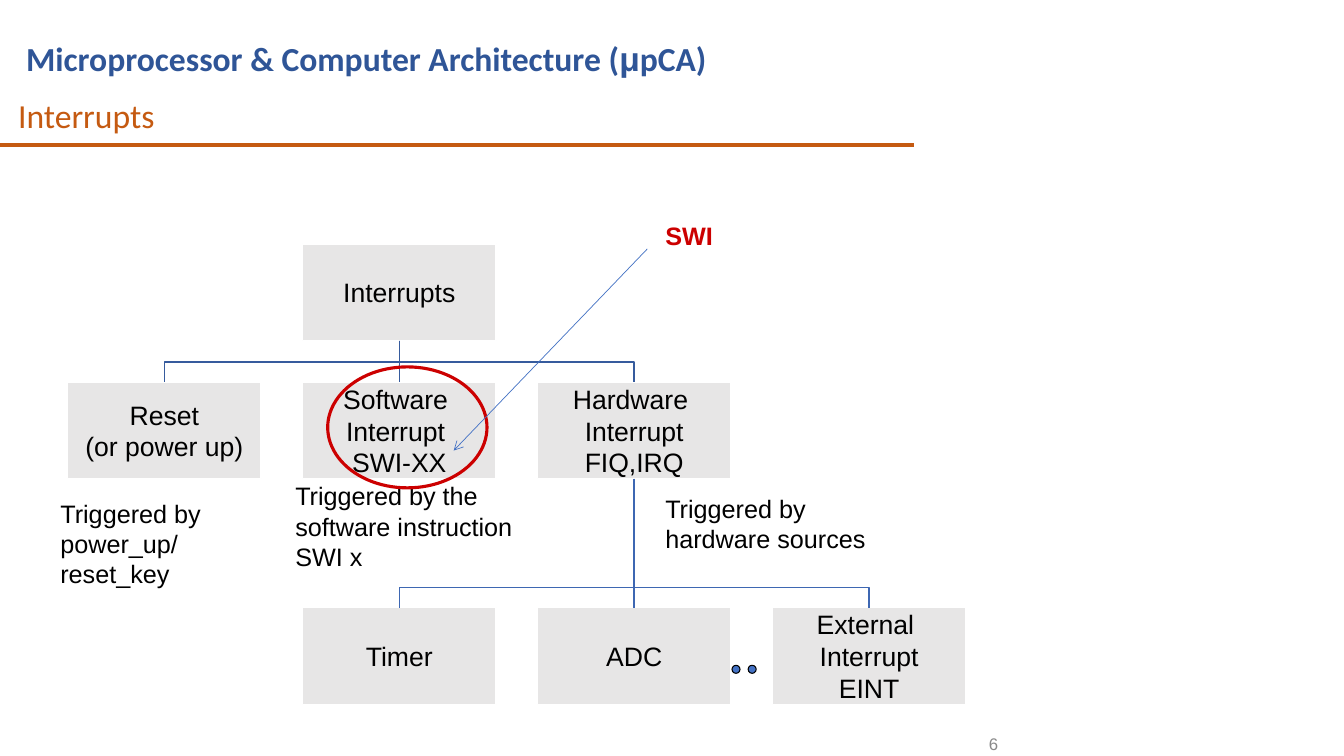
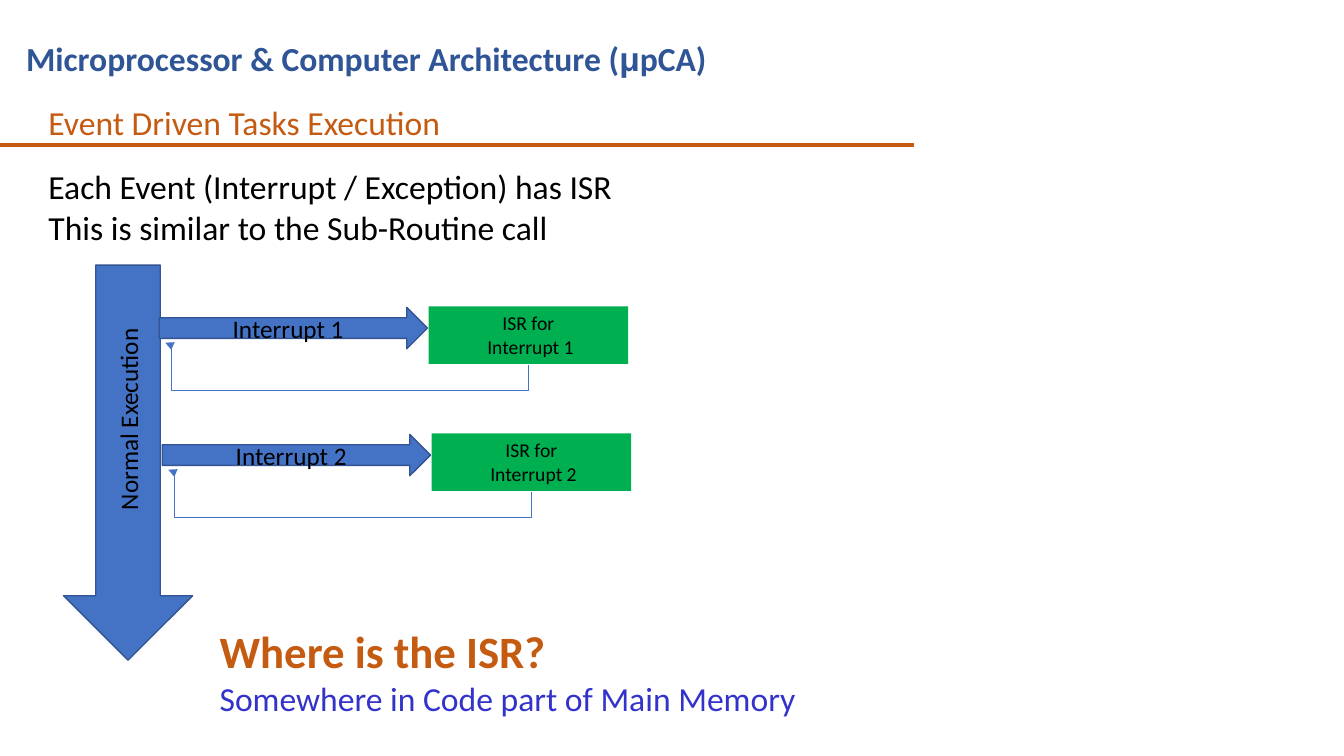
from lxml import etree
from pptx import Presentation
from pptx.dml.color import RGBColor
from pptx.enum.shapes import MSO_CONNECTOR, MSO_SHAPE
from pptx.enum.text import MSO_ANCHOR, MSO_AUTO_SIZE, PP_ALIGN
from pptx.oxml.ns import qn
from pptx.util import Inches, Pt

LEFT, CENTER, RIGHT = PP_ALIGN.LEFT, PP_ALIGN.CENTER, PP_ALIGN.RIGHT
TOP, MIDDLE = MSO_ANCHOR.TOP, MSO_ANCHOR.MIDDLE
STRAIGHT, ELBOW = MSO_CONNECTOR.STRAIGHT, MSO_CONNECTOR.ELBOW
RECTANGLE, OVAL = MSO_SHAPE.RECTANGLE, MSO_SHAPE.OVAL
DOWN_ARROW, RIGHT_ARROW = MSO_SHAPE.DOWN_ARROW, MSO_SHAPE.RIGHT_ARROW

ORANGE = RGBColor(0xC5, 0x5A, 0x11)
NAVY = RGBColor(0x2F, 0x55, 0x97)
BLUE = RGBColor(0x44, 0x72, 0xC4)
DARK_BLUE = RGBColor(0x32, 0x54, 0x91)
UPPER_TREE = RGBColor(0x36, 0x5B, 0x9D)
LOWER_TREE = RGBColor(0x3E, 0x67, 0xB2)
VIOLET = RGBColor(0x33, 0x33, 0xCC)
RED = RGBColor(0xCC, 0x00, 0x00)
GREEN = RGBColor(0x00, 0xB0, 0x50)
LIGHT_GRAY = RGBColor(0xE7, 0xE6, 0xE6)
GRAY = RGBColor(0x89, 0x89, 0x89)
BLACK = RGBColor(0x00, 0x00, 0x00)
WHITE = RGBColor(0xFF, 0xFF, 0xFF)


def write_text(shape, text, size=18, color=BLACK, font="Calibri", bold=False,
               align=LEFT, anchor=None, margin=None, wrap=True, join=False):
    """Append one paragraph per line, or with join continue the last paragraph."""
    frame = shape.text_frame
    frame.word_wrap = wrap
    frame.auto_size = MSO_AUTO_SIZE.NONE
    if anchor is not None:
        frame.vertical_anchor = anchor
    if margin is not None:
        frame.margin_left = frame.margin_right = Inches(margin)
        frame.margin_top = frame.margin_bottom = Inches(margin)
    for line in text.split("\n"):
        paragraph = frame.paragraphs[-1]
        if paragraph.runs and not join:
            paragraph = frame.add_paragraph()
        paragraph.alignment = align
        paragraph.space_before = Pt(0)
        run = paragraph.add_run()
        run.text = line
        run.font.size = Pt(size)
        run.font.name = font
        run.font.bold = bold
        run.font.color.rgb = color


def style_line(shape, color, width, arrowhead=None):
    shape.line.color.rgb = color
    shape.line.width = Pt(width)
    properties = shape.element.spPr
    if arrowhead:
        outline = properties.find(qn("a:ln"))
        etree.SubElement(outline, qn("a:tailEnd")).set("type", arrowhead)
    etree.SubElement(properties, qn("a:effectLst"))


presentation = Presentation()
presentation.slide_width = Inches(13.33)
presentation.slide_height = Inches(7.5)
tree_slide = presentation.slides.add_slide(presentation.slide_layouts[5])
event_slide = presentation.slides.add_slide(presentation.slide_layouts[1])

# Course name and rule, moved to the master that both slides share
course = tree_slide.shapes.add_textbox(Inches(0.16), Inches(0.33), Inches(8.88), Inches(0.5))
for part, font in (("Microprocessor & Computer Architecture (", "Calibri"),
                   ("μ", "Arial"), ("pCA)", "Calibri")):
    write_text(course, part, size=24, color=NAVY, font=font, bold=True, join=True)
rule = tree_slide.shapes.add_connector(STRAIGHT, Inches(0), Inches(1.44), Inches(9.07), Inches(1.44))
style_line(rule, ORANGE, 3)
for number, shape in enumerate((rule, course), start=101):
    shape.element.xpath(".//p:cNvPr")[0].set("id", str(number))
    presentation.slide_master.shapes.element.append(shape.element)

for slide, text, left, top, width in (
        (tree_slide, "Interrupts", 0.08, 0.89, 9),
        (event_slide, "Event Driven Tasks Execution", 0.38, 0.96, 8.62)):
    title = slide.shapes.title
    title.left, title.top = Inches(left), Inches(top)
    title.width, title.height = Inches(width), Inches(0.5)
    write_text(title, text, size=24, color=ORANGE, anchor=MIDDLE)

# Slide 1: interrupt tree
shapes = tree_slide.shapes
BOX_WIDTH, BOX_HEIGHT = 1.92, 0.96
COLUMNS = [0.67 + 2.33 * column for column in range(4)]
ROWS = [2.42, 3.79, 6.03]
nodes = {}
for name, text, column, row in (
        ("root", "Interrupts", 1, 0),
        ("reset", "Reset\n(or power up)", 0, 1),
        ("software", "Software \nInterrupt \nSWI-XX", 1, 1),
        ("hardware", "Hardware \nInterrupt\nFIQ,IRQ", 2, 1),
        ("timer", "Timer", 1, 2),
        ("adc", "ADC", 2, 2),
        ("external", "External \nInterrupt\nEINT", 3, 2)):
    node = shapes.add_shape(RECTANGLE, Inches(COLUMNS[column]), Inches(ROWS[row]),
                            Inches(BOX_WIDTH), Inches(BOX_HEIGHT))
    node.shadow.inherit = False
    node.fill.solid()
    node.fill.fore_color.rgb = LIGHT_GRAY
    node.line.color.rgb = WHITE
    node.line.width = Pt(1)
    write_text(node, text, size=19, font="Arial", align=CENTER, anchor=MIDDLE, margin=0.01)
    nodes[name] = node

for parent_name, middle_name, side_names, color in (
        ("root", "software", ("reset", "hardware"), UPPER_TREE),
        ("hardware", "adc", ("timer", "external"), LOWER_TREE)):
    parent, middle = nodes[parent_name], nodes[middle_name]
    start_x = parent.left + parent.width // 2
    start_y = parent.top + parent.height
    trunk = shapes.add_connector(STRAIGHT, start_x, start_y, start_x, middle.top)
    trunk.begin_connect(parent, 2)
    trunk.end_connect(middle, 0)
    style_line(trunk, color, 1)
    # The lower fork sits close to its children
    fork_y = middle.top - Inches(0.2)
    for side_name in side_names:
        child = nodes[side_name]
        end_x = child.left + child.width // 2
        builder = shapes.build_freeform(start_x, start_y)
        builder.add_line_segments([(start_x, fork_y), (end_x, fork_y), (end_x, child.top)], close=False)
        branch = builder.convert_to_shape()
        branch.fill.background()
        style_line(branch, color, 1)

for text, left, top, height in (
        ("Triggered by power_up/\nreset_key", 0.5, 4.89, 1.3),
        ("Triggered by hardware sources", 6.5, 4.84, 0.7),
        ("Triggered by the software instruction SWI x", 2.83, 4.72, 1.3)):
    caption = shapes.add_textbox(Inches(left), Inches(top), Inches(2.58), Inches(height))
    write_text(caption, text, font="Arial")

for left in (7.26, 7.42):
    dot = shapes.add_shape(OVAL, Inches(left), Inches(6.6), Inches(0.08), Inches(0.08))
    dot.shadow.inherit = False
    dot.fill.solid()
    dot.fill.fore_color.rgb = BLUE
    dot.line.color.rgb = BLACK
    dot.line.width = Pt(0.75)

ring = shapes.add_shape(OVAL, Inches(3.25), Inches(3.64), Inches(1.58), Inches(1.2))
ring.fill.background()
style_line(ring, RED, 2.25)
swi_label = shapes.add_textbox(Inches(6.5), Inches(2.14), Inches(0.68), Inches(0.4))
write_text(swi_label, "SWI", color=RED, font="Arial", bold=True, wrap=False)
pointer = shapes.add_connector(STRAIGHT, Inches(6.42), Inches(2.47), Inches(4.5), Inches(4.47))
style_line(pointer, BLUE, 0.5, "arrow")
slide_number = shapes.add_textbox(Inches(7.67), Inches(7.26), Inches(2.23), Inches(0.24))
write_text(slide_number, "6", size=12, color=GRAY, font="Arial", align=RIGHT, anchor=MIDDLE, margin=0)

# Slide 2: normal execution with two interrupts
shapes = event_slide.shapes
body = event_slide.placeholders[1]
body.left, body.top, body.width, body.height = Inches(0.38), Inches(1.6), Inches(8.62), Inches(0.91)
write_text(body, "Each Event (Interrupt / Exception) has ISR\nThis is similar to the Sub-Routine call", size=24)
for paragraph in body.text_frame.paragraphs:
    properties = paragraph.runs[0].font  # ensures run formatting precedes bullet removal
    properties = paragraph._p.get_or_add_pPr()
    properties.set("marL", "0")
    properties.set("indent", "0")
    etree.SubElement(properties, qn("a:buNone"))

execution = shapes.add_shape(DOWN_ARROW, Inches(0.63), Inches(2.63), Inches(1.28), Inches(3.92))
arrows = [execution]
for number, shift_x, shift_y in ((1, 0, 0), (2, 0.03, 1.26)):
    arrow = shapes.add_shape(RIGHT_ARROW, Inches(1.58 + shift_x), Inches(3.05 + shift_y),
                             Inches(2.66), Inches(0.41))
    write_text(arrow, f"Interrupt {number}", align=CENTER, anchor=MIDDLE)
    arrows.append(arrow)

    routine = shapes.add_shape(RECTANGLE, Inches(4.25 + shift_x), Inches(3.04 + shift_y),
                               Inches(1.98), Inches(0.57))
    routine.shadow.inherit = False
    routine.fill.solid()
    routine.fill.fore_color.rgb = GREEN
    routine.line.fill.background()
    write_text(routine, f"ISR for\n Interrupt {number}", size=14, align=CENTER, anchor=TOP)

    # The return path is laid out upright, then turned a quarter
    back = shapes.add_connector(ELBOW, Inches(3.55 + shift_x), Inches(1.71 + shift_y),
                                Inches(3.33 + shift_x), Inches(5.31 + shift_y))
    back.rotation = 90
    geometry = back.element.spPr.find(qn("a:prstGeom"))
    geometry.set("prst", "bentConnector4")
    adjustments = geometry.find(qn("a:avLst"))
    for name, value in (("adj1", -114300), ("adj2", 98400)):
        guide = etree.SubElement(adjustments, qn("a:gd"))
        guide.set("name", name)
        guide.set("fmla", f"val {value}")
    style_line(back, BLUE, 0.5, "triangle")

for arrow in arrows:
    arrow.shadow.inherit = False
    arrow.fill.solid()
    arrow.fill.fore_color.rgb = BLUE
    arrow.line.color.rgb = DARK_BLUE
    arrow.line.width = Pt(1)

execution_label = shapes.add_textbox(Inches(0.26), Inches(3.95), Inches(2.02), Inches(0.4))
execution_label.rotation = 270
write_text(execution_label, "Normal Execution", wrap=False)

question = shapes.add_textbox(Inches(2.08), Inches(6.14), Inches(5.97), Inches(1.04))
write_text(question, "Where is the ISR?", size=32, color=ORANGE, bold=True, wrap=False)
write_text(question, "Somewhere in Code part of Main Memory", size=24, color=VIOLET, wrap=False)

presentation.save("out.pptx")
